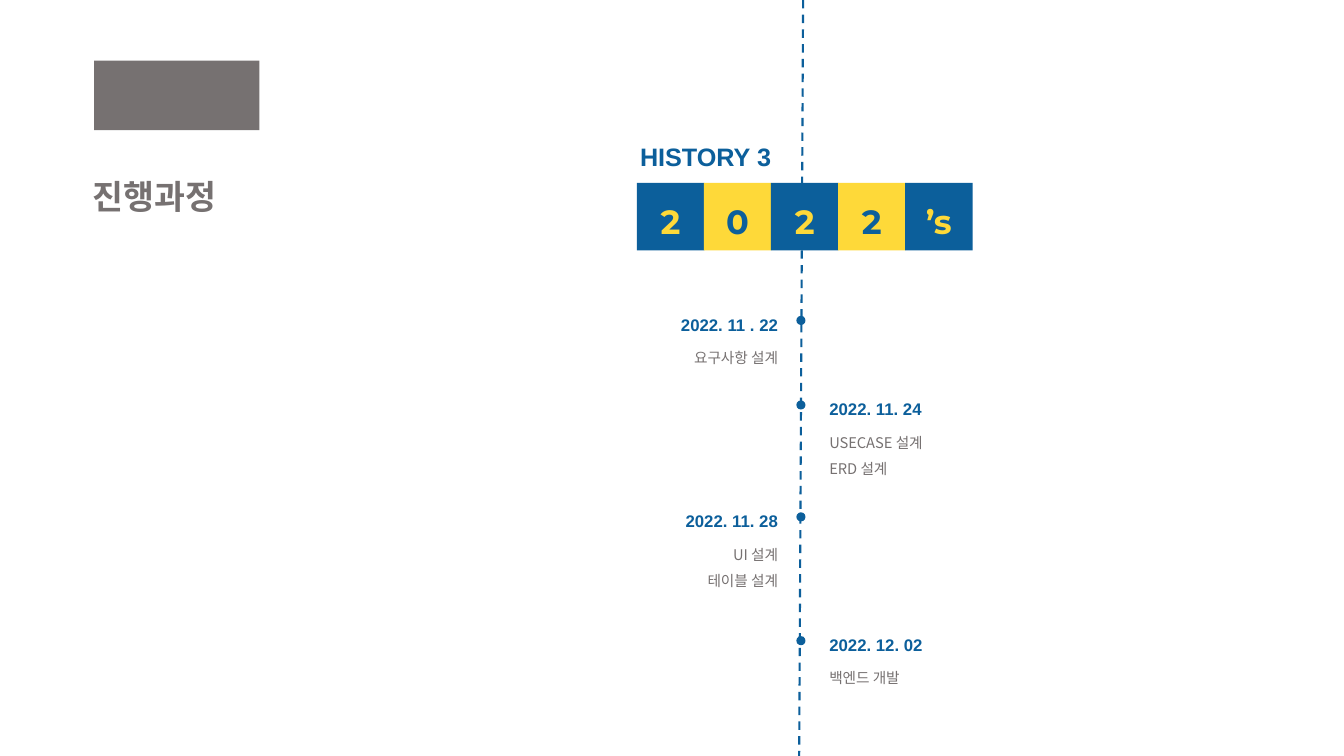
from dataclasses import dataclass

from lxml.etree import SubElement
from pptx import Presentation
from pptx.dml.color import RGBColor
from pptx.enum.dml import MSO_LINE
from pptx.enum.shapes import MSO_CONNECTOR, MSO_SHAPE
from pptx.enum.text import MSO_ANCHOR, MSO_AUTO_SIZE, PP_ALIGN
from pptx.oxml.ns import qn
from pptx.util import Cm, Pt


@dataclass(frozen=True)
class TextStyle:
    font: str
    size: float
    color: RGBColor
    bold: bool = True


@dataclass(frozen=True)
class Theme:
    blue = RGBColor.from_string("0C5F9B")
    yellow = RGBColor.from_string("FED939")
    gray = RGBColor.from_string("767171")
    title = TextStyle("Noto Sans CJK KR", 24, gray)
    heading = TextStyle("Arial", 18, blue)
    date = TextStyle("Arial", 12, blue)
    item = TextStyle("Noto Sans CJK KR", 10.5, gray, bold=False)
    digit_on_blue = TextStyle("Montserrat", 24, yellow)
    digit_on_yellow = TextStyle("Montserrat", 24, blue)


THEME = Theme()

EVENTS = [
    ("left", 7.7, "2022. 11 . 22", ["요구사항 설계"]),
    ("right", 9.83, "2022. 11. 24", ["USECASE 설계", "ERD 설계"]),
    ("left", 12.65, "2022. 11. 28", ["UI 설계", "테이블 설계"]),
    ("right", 15.77, "2022. 12. 02", ["백엔드 개발"]),
]


def write_text(shape, text, style, align=PP_ALIGN.LEFT, anchor=MSO_ANCHOR.TOP):
    frame = shape.text_frame
    frame.word_wrap = True
    frame.auto_size = MSO_AUTO_SIZE.NONE
    frame.vertical_anchor = anchor
    para = frame.paragraphs[0]
    para.text = text
    para.alignment = align
    para.line_spacing = 1.2
    font = para.font
    font.name = style.font
    font.size = Pt(style.size)
    font.bold = style.bold
    font.color.rgb = style.color
    SubElement(font._element, qn("a:ea"), typeface=style.font)


def add_text(page, left, top, width, height, text, style, align=PP_ALIGN.LEFT):
    box = page.shapes.add_textbox(Cm(left), Cm(top), Cm(width), Cm(height))
    write_text(box, text, style, align)


def add_filled(page, kind, left, top, width, height, color):
    shape = page.shapes.add_shape(kind, Cm(left), Cm(top), Cm(width), Cm(height))
    shape.shadow.inherit = False
    shape.fill.solid()
    shape.fill.fore_color.rgb = color
    shape.line.fill.background()
    return shape


def add_title(page, text):
    title = page.shapes.title
    title.left, title.top, title.width, title.height = Cm(2.08), Cm(4.09), Cm(5.89), Cm(1.37)
    write_text(title, text, THEME.title)


def add_axis(page):
    axis = page.shapes.add_connector(
        MSO_CONNECTOR.STRAIGHT, Cm(20.24), Cm(0), Cm(20.14), Cm(19.05))
    axis.line.color.rgb = THEME.blue
    axis.line.width = Pt(1.5)
    axis.line.dash_style = MSO_LINE.DASH
    SubElement(axis._element.spPr, qn("a:effectLst"))


def add_year_tiles(page, characters):
    for index, character in enumerate(characters):
        on_blue = index % 2 == 0
        color = THEME.blue if on_blue else THEME.yellow
        style = THEME.digit_on_blue if on_blue else THEME.digit_on_yellow
        tile = add_filled(
            page, MSO_SHAPE.RECTANGLE, 16.05 + 1.69 * index, 4.61, 1.7, 1.7, color)
        tile.text_frame.margin_left = tile.text_frame.margin_right = 0
        write_text(tile, character, style, PP_ALIGN.CENTER, MSO_ANCHOR.MIDDLE)


def add_event(page, side, top, date, items):
    date_width, item_width = 10.19, 11.48
    if side == "left":
        right_edge = 19.86
        date_left, item_left = right_edge - date_width, right_edge - item_width
        date_align = item_align = PP_ALIGN.RIGHT
    else:
        date_left = item_left = 20.65
        date_align, item_align = PP_ALIGN.LEFT, PP_ALIGN.JUSTIFY
    add_filled(page, MSO_SHAPE.OVAL, 20.07, top + 0.26, 0.23, 0.23, THEME.blue)
    add_text(page, date_left, top, date_width, 0.81, date, THEME.date, date_align)
    for index, item in enumerate(items):
        item_top = top + 0.88 + 0.67 * index
        add_text(page, item_left, item_top, item_width, 0.76, item, THEME.item, item_align)


def main():
    deck = Presentation()
    deck.slide_width, deck.slide_height = Cm(33.87), Cm(19.05)
    page = deck.slides.add_slide(deck.slide_layouts[5])
    add_axis(page)
    add_title(page, "진행과정")
    add_filled(page, MSO_SHAPE.RECTANGLE, 2.37, 1.53, 4.17, 1.75, THEME.gray)
    add_text(page, 15.88, 3.28, 5.18, 1.12, "HISTORY 3", THEME.heading)
    add_year_tiles(page, ["2", "0", "2", "2", "’s"])
    for event in EVENTS:
        add_event(page, *event)
    deck.save("out.pptx")


if __name__ == "__main__":
    main()
